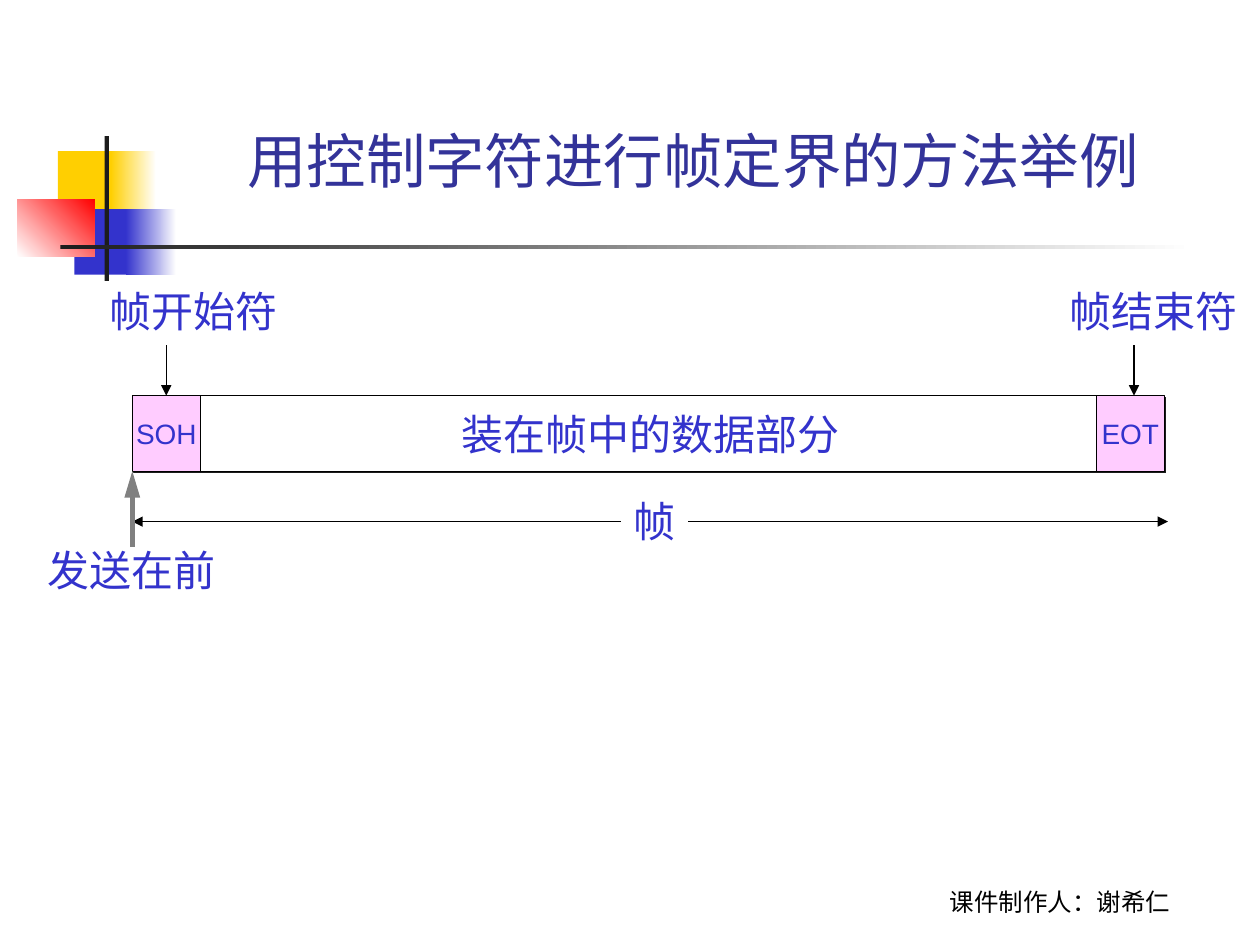
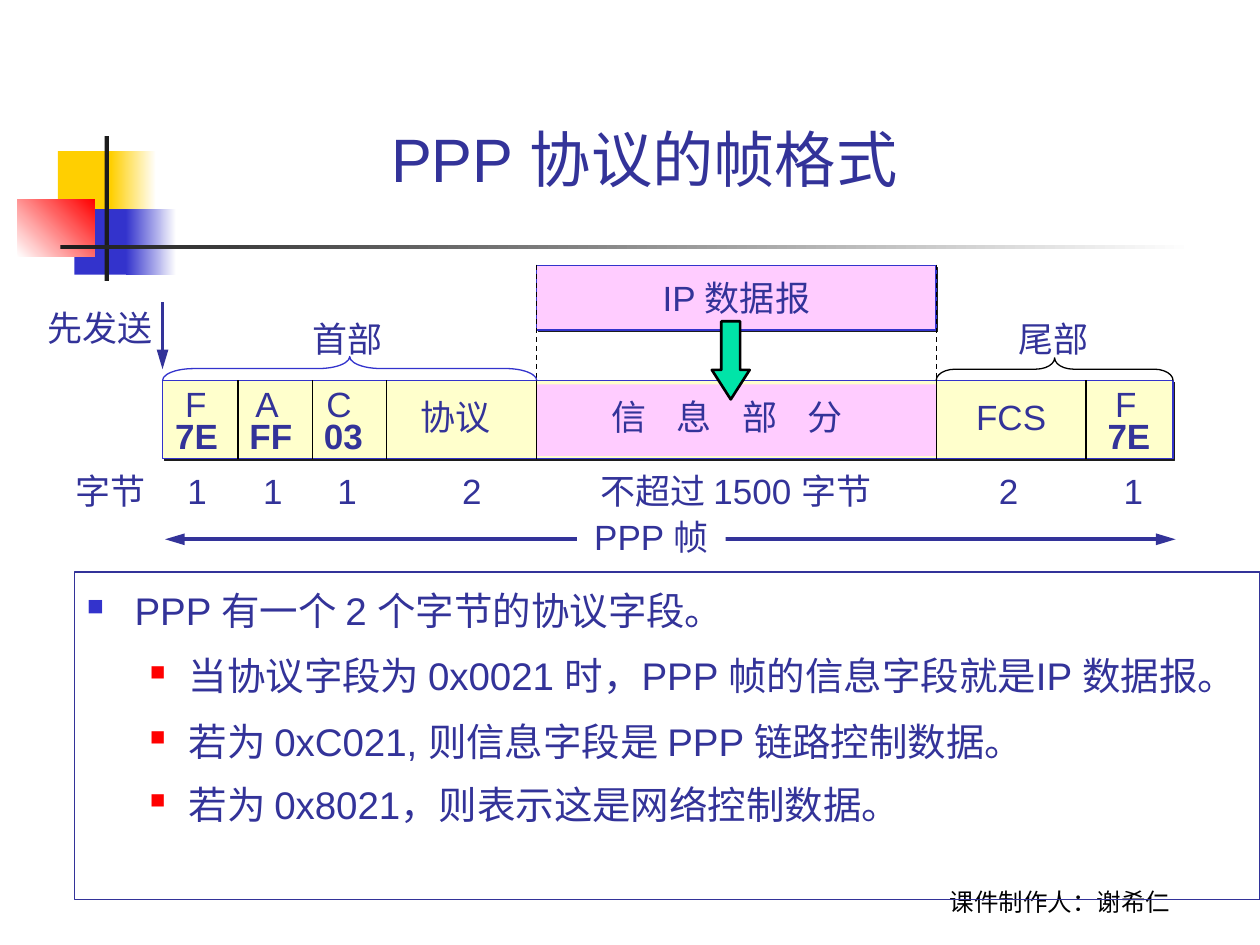
from dataclasses import dataclass

from lxml import etree
from pptx import Presentation
from pptx import presentation as deck_types
from pptx import slide as slides
from pptx import util as u
from pptx.dml.color import RGBColor
from pptx.enum import dml, shapes, text
from pptx.oxml import ns
from pptx.shapes import autoshape

COLUMNS, ROWS = 100, 75
SLIDE_WIDTH, SLIDE_HEIGHT = u.Inches(10), u.Inches(7.5)
FONT, FOOTER_FONT = "Arial", "Lato"

BLACK = RGBColor(0x00, 0x00, 0x00)
WHITE = RGBColor(0xFF, 0xFF, 0xFF)
CHARCOAL = RGBColor(0x1C, 0x1C, 0x1C)
GRAY = RGBColor(0x80, 0x80, 0x80)
NAVY = RGBColor(0x33, 0x33, 0x99)
BLUE = RGBColor(0x33, 0x33, 0xCC)
RED = RGBColor(0xFF, 0x00, 0x00)
GOLD = RGBColor(0xFF, 0xCF, 0x01)
PINK = RGBColor(0xFF, 0xCC, 0xFF)
CREAM = RGBColor(0xFF, 0xFF, 0xCC)
GREEN = RGBColor(0x00, 0xE4, 0xA8)


@dataclass(frozen=True)
class Area:
    col: float
    row: float
    cols: float
    rows: float


@dataclass(frozen=True)
class Style:
    size: float
    color: RGBColor
    bold: bool = False
    font: str = FONT
    tracking: float = 0


@dataclass(frozen=True)
class Block:
    area: Area
    fill: RGBColor | None = None
    fade_to: RGBColor | None = None
    angle: float = 0
    outline: RGBColor | None = None
    weight: float = 0.75
    shadow: bool = False
    preset: shapes.MSO_SHAPE = shapes.MSO_SHAPE.RECTANGLE
    caption: str = ""
    style: Style | None = None


@dataclass(frozen=True)
class Label:
    caption: str
    center: float
    row: float
    cols: float
    style: Style
    fill: RGBColor | None = None


@dataclass(frozen=True)
class Stroke:
    start: tuple[float, float]
    end: tuple[float, float]
    color: RGBColor = BLACK
    weight: float = 0.75
    heads: tuple[str, ...] = ()
    dashed: bool = False


@dataclass(frozen=True)
class Field:
    left: float
    name: str
    name_center: float
    name_cols: float
    size: str
    size_center: float
    size_cols: float = 3.5
    code: str = ""
    code_center: float = 0
    tracking: float = 0


@dataclass(frozen=True)
class Point:
    caption: str
    indent: float
    hanging: float
    bullet: RGBColor
    bullet_share: int
    before: float


FRAME_TEXT = Style(24, BLUE)
MARK_TEXT = Style(16, BLUE)
PPP_TEXT = Style(20, NAVY)
CODE_TEXT = Style(20, NAVY, bold=True)
POINT_TEXT = Style(22, NAVY)
FOOTER_TEXT = Style(14, BLACK, font=FOOTER_FONT)
BOTH_HEADS = ("headEnd", "tailEnd")
END_HEAD = ("tailEnd",)

ORNAMENT = [
    Block(Area(4.6, 12, 4.8, 5.2), GOLD),
    Block(Area(8.8, 12, 3.6, 5.2), GOLD, WHITE),
    Block(Area(5.9, 16.6, 4.6, 5.2), BLUE),
    Block(Area(10, 16.6, 4, 5.2), BLUE, WHITE),
    Block(Area(1.4, 15.8, 6.1, 4.6), WHITE, RED, 45),
    Block(Area(8.3, 10.8, 0.35, 11.5), CHARCOAL),
    Block(Area(4.8, 19.45, 90, 0.35), CHARCOAL, WHITE),
]
BAR_TOP, BAR_BOTTOM, BAR_END = 30.2, 36.4, 93.1
FIELDS = [
    Field(12.9, "F", 15.55, 3.7, "1", 15.65, code="7E", code_center=15.6),
    Field(18.9, "A", 21.2, 3.8, "1", 21.65, code="FF", code_center=21.5),
    Field(24.8, "C", 26.9, 4, "1", 27.55, code="03", code_center=27.25),
    Field(30.7, "协议", 36.15, 7.5, "2", 37.45),
    Field(42.6, "信 息 部 分", 57.7, 20.6, "不超过 1500 字节", 58.4, 24.8, tracking=6.5),
    Field(74.3, "FCS", 80.25, 7.5, "2", 80.05),
    Field(86.2, "F", 89.35, 3.7, "1", 89.95, code="7E", code_center=89.6),
]
INFO_LEFT, INFO_END = FIELDS[4].left, FIELDS[5].left
INFO_COLS = INFO_END - INFO_LEFT
POINTS = [
    Point("PPP 有一个 2 个字节的协议字段。", 0.38, 0.38, BLUE, 60, 0),
    Point("当协议字段为 0x0021 时，PPP 帧的信息字段就是IP 数据报。", 0.81, 0.31, RED, 55, 5.5),
    Point("若为 0xC021, 则信息字段是 PPP 链路控制数据。", 0.81, 0.31, RED, 55, 5.5),
    Point("若为 0x8021，则表示这是网络控制数据。", 0.81, 0.31, RED, 55, 4.5),
]


def across(columns: float) -> int:
    return round(SLIDE_WIDTH * columns / COLUMNS)


def down(rows: float) -> int:
    return round(SLIDE_HEIGHT * rows / ROWS)


def place(area: Area) -> tuple[int, int, int, int]:
    return across(area.col), down(area.row), across(area.cols), down(area.rows)


def add_text(paragraph, caption: str, style: Style) -> None:
    run = paragraph.add_run()
    run.text = caption
    run.font.name, run.font.size = style.font, u.Pt(style.size)
    run.font.bold = style.bold
    run.font.color.rgb = style.color
    if style.tracking:
        run._r.get_or_add_rPr().set("spc", str(round(style.tracking * 100)))


def add_centered(frame, caption: str, style: Style, anchor: text.MSO_ANCHOR) -> None:
    frame.word_wrap = False
    frame.margin_left = frame.margin_right = 0
    frame.vertical_anchor = anchor
    frame.paragraphs[0].alignment = text.PP_ALIGN.CENTER
    add_text(frame.paragraphs[0], caption, style)


def add_block(slide: slides.Slide, block: Block) -> autoshape.Shape:
    shape = slide.shapes.add_shape(block.preset, *place(block.area))
    shape.shadow.inherit = False
    if block.fade_to is not None:
        shape.fill.gradient()
        shape.fill.gradient_angle = block.angle
        for stop, color in zip(shape.fill.gradient_stops, (block.fill, block.fade_to)):
            stop.color.rgb = color
    elif block.fill is not None:
        shape.fill.solid()
        shape.fill.fore_color.rgb = block.fill
    else:
        shape.fill.background()
    if block.outline is not None:
        shape.line.color.rgb = block.outline
        shape.line.width = u.Pt(block.weight)
    else:
        shape.line.fill.background()
    if block.shadow:
        effects = shape._element.spPr.find(ns.qn("a:effectLst"))
        cast = etree.SubElement(effects, ns.qn("a:outerShdw"), dist=str(u.Pt(1.4)),
                                dir="2700000", algn="ctr", rotWithShape="0")
        etree.SubElement(cast, ns.qn("a:srgbClr"), val=str(CHARCOAL))
    if block.style is not None:
        add_centered(shape.text_frame, block.caption, block.style, text.MSO_ANCHOR.MIDDLE)
    return shape


def add_label(slide: slides.Slide, label: Label) -> None:
    rows = 5 if label.style.size > 20 else 4.4
    area = Area(label.center - label.cols / 2, label.row, label.cols, rows)
    box = slide.shapes.add_textbox(*place(area))
    if label.fill is not None:
        box.fill.solid()
        box.fill.fore_color.rgb = label.fill
    add_centered(box.text_frame, label.caption, label.style, text.MSO_ANCHOR.TOP)


def add_stroke(slide: slides.Slide, stroke: Stroke) -> None:
    (left, top), (right, bottom) = stroke.start, stroke.end
    line = slide.shapes.add_connector(shapes.MSO_CONNECTOR.STRAIGHT, across(left), down(top),
                                      across(right), down(bottom))
    line.line.color.rgb = stroke.color
    line.line.width = u.Pt(stroke.weight)
    if stroke.dashed:
        line.line.dash_style = dml.MSO_LINE.DASH
    properties = line._element.spPr
    length = "lg" if stroke.weight > 2 else "med"
    for head in stroke.heads:
        etree.SubElement(properties.find(ns.qn("a:ln")), ns.qn(f"a:{head}"),
                         type="triangle", len=length)
    etree.SubElement(properties, ns.qn("a:effectLst"))


def add_brace(slide: slides.Slide, left: float, right: float, rows: float,
              curve: float, color: RGBColor) -> None:
    middle, level = (left + right) / 2, BAR_TOP - rows / 2
    area = Area(middle - rows / 2, level - (right - left) / 2, rows, right - left)
    brace = add_block(slide, Block(area, outline=color, preset=shapes.MSO_SHAPE.LEFT_BRACE))
    brace.rotation = 90
    brace.adjustments[0] = curve


def add_points(slide: slides.Slide, area: Area) -> None:
    box = slide.shapes.add_textbox(*place(area))
    box.line.color.rgb, box.line.width = NAVY, u.Pt(0.75)
    frame = box.text_frame
    frame.word_wrap = True
    for index, point in enumerate(POINTS):
        paragraph = frame.add_paragraph() if index else frame.paragraphs[0]
        paragraph.line_spacing = 1.2
        if point.before:
            paragraph.space_before = u.Pt(point.before)
        properties = paragraph._p.get_or_add_pPr()
        properties.set("marL", str(u.Inches(point.indent)))
        properties.set("indent", str(-u.Inches(point.hanging)))
        tint = etree.SubElement(properties, ns.qn("a:buClr"))
        etree.SubElement(tint, ns.qn("a:srgbClr"), val=str(point.bullet))
        etree.SubElement(properties, ns.qn("a:buSzPct"), val=str(point.bullet_share * 1000))
        etree.SubElement(properties, ns.qn("a:buChar"), char="■")
        add_text(paragraph, point.caption, POINT_TEXT)


def start_slide(deck: deck_types.Presentation, heading: str, area: Area, size: float) -> slides.Slide:
    slide = deck.slides.add_slide(deck.slide_layouts.get_by_name("Title Only"))
    for block in ORNAMENT:
        add_block(slide, block)
    footer = slide.shapes.add_textbox(*place(Area(68.3, 68.2, 31.7, 5)))
    add_centered(footer.text_frame, "课件制作人：谢希仁", FOOTER_TEXT, text.MSO_ANCHOR.BOTTOM)
    title = slide.shapes.title
    title.left, title.top, title.width, title.height = place(area)
    add_centered(title.text_frame, heading, Style(size, NAVY), text.MSO_ANCHOR.BOTTOM)
    title.text_frame.word_wrap = True
    return slide


def build_delimiters(deck: deck_types.Presentation) -> None:
    slide = start_slide(deck, "用控制字符进行帧定界的方法举例", Area(12.4, 0, 85.2, 16), 34)
    frame_left, frame_top, frame_bottom, mark_cols = 10.5, 31.4, 37.4, 5.4
    for caption, left, cols, fill, style in (
        ("SOH", frame_left, mark_cols, PINK, MARK_TEXT),
        ("装在帧中的数据部分", frame_left + mark_cols, 71.4, WHITE, FRAME_TEXT),
        ("EOT", 87, mark_cols, PINK, MARK_TEXT),
    ):
        add_block(slide, Block(Area(left, frame_top, cols, frame_bottom - frame_top), fill,
                               outline=BLACK, shadow=True, caption=caption, style=style))
    for mark_center in (13.2, 90):
        add_stroke(slide, Stroke((mark_center, 27.4), (mark_center, frame_top), heads=END_HEAD))
    add_stroke(slide, Stroke((frame_left, 41.4), (92.7, 41.4), heads=BOTH_HEADS))
    add_stroke(slide, Stroke((frame_left, 43.4), (frame_left, frame_bottom), GRAY, 3, END_HEAD))
    for label in (
        Label("帧", 51.95, 38.8, 5.3, FRAME_TEXT, WHITE),
        Label("帧开始符", 15.35, 22.2, 15.3, FRAME_TEXT),
        Label("帧结束符", 91.55, 22.2, 15.3, FRAME_TEXT),
        Label("发送在前", 10.45, 42.7, 15.3, FRAME_TEXT),
    ):
        add_label(slide, label)


def build_ppp_frame(deck: deck_types.Presentation) -> None:
    slide = start_slide(deck, "PPP 协议的帧格式", Area(9.8, 0, 82.7, 16), 35)
    frame_left = FIELDS[0].left
    add_points(slide, Area(5.9, 45.4, 94.1, 26))
    add_block(slide, Block(Area(INFO_LEFT, 21.1, INFO_COLS, 5.1), PINK, outline=BLUE, shadow=True,
                           caption="IP 数据报", style=PPP_TEXT))
    add_block(slide, Block(Area(frame_left, BAR_TOP, BAR_END - frame_left, BAR_BOTTOM - BAR_TOP),
                           CREAM, outline=BLUE, shadow=True))
    add_block(slide, Block(Area(INFO_LEFT, 30.5, INFO_COLS, 5.7), PINK))
    for field in FIELDS:
        if field.left > frame_left:
            add_stroke(slide, Stroke((field.left, BAR_TOP), (field.left, BAR_BOTTOM)))
        name_style = Style(20, NAVY, tracking=field.tracking)
        name_row = 29.9 if field.code else 30.9
        add_label(slide, Label(field.name, field.name_center, name_row, field.name_cols, name_style))
        add_label(slide, Label(field.size, field.size_center, 36.8, field.size_cols, PPP_TEXT))
        if field.code:
            add_label(slide, Label(field.code, field.code_center, 32.4, 5.4, CODE_TEXT))
    for edge in (INFO_LEFT, INFO_END):
        add_stroke(slide, Stroke((edge, 21), (edge, BAR_TOP), dashed=True))
    add_stroke(slide, Stroke((13.1, 42.8), (93.3, 42.8), NAVY, 2.25, BOTH_HEADS))
    add_stroke(slide, Stroke((frame_left, 24), (frame_left, 29.3), NAVY, 2.25, END_HEAD))
    add_brace(slide, frame_left, INFO_LEFT, 1.9, 1.3, BLUE)
    add_brace(slide, INFO_END, BAR_END, 1.8, 0.83, BLACK)
    for label in (
        Label("字节", 8.75, 36.8, 7.5, PPP_TEXT),
        Label("PPP 帧", 51.7, 40.4, 11.8, PPP_TEXT, WHITE),
        Label("先发送", 7.95, 23.8, 10.3, PPP_TEXT),
        Label("首部", 27.55, 24.7, 7.5, PPP_TEXT),
        Label("尾部", 83.65, 24.7, 7.5, PPP_TEXT),
    ):
        add_label(slide, label)
    arrow = add_block(slide, Block(Area(56.5, 25.5, 3, 6.2), GREEN, outline=BLACK, weight=1.5,
                                   preset=shapes.MSO_SHAPE.DOWN_ARROW))
    arrow.adjustments[0], arrow.adjustments[1] = 0.5, 0.78


def main() -> None:
    deck = Presentation()
    deck.slide_width, deck.slide_height = SLIDE_WIDTH, SLIDE_HEIGHT
    build_delimiters(deck)
    build_ppp_frame(deck)
    deck.save("out.pptx")


if __name__ == "__main__":
    main()
